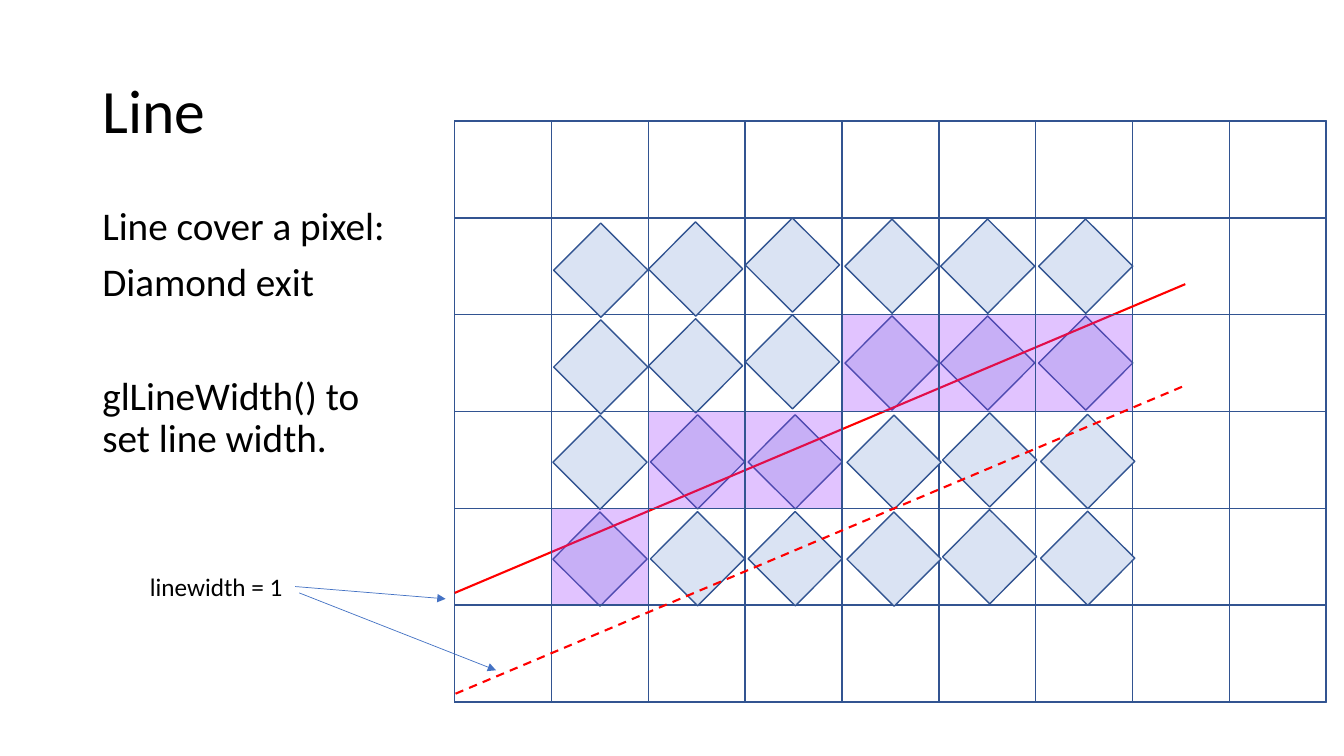
from lxml import etree
from pptx import Presentation
from pptx.dml.color import RGBColor
from pptx.enum import dml, shapes, text
from pptx.oxml import ns
from pptx.util import Cm, Pt

BLACK = RGBColor(0x00, 0x00, 0x00)
GRID_BLUE = RGBColor(0x32, 0x54, 0x91)
DIAMOND_BLUE = RGBColor(0xDA, 0xE3, 0xF3)
PIXEL_PURPLE = RGBColor(0x99, 0x33, 0xFF)
LINE_RED = RGBColor(0xFF, 0x00, 0x00)
ARROW_BLUE = RGBColor(0x44, 0x72, 0xC4)

CELL = 2.44
COLUMNS, ROWS = 9, 6
GRID_LEFT, GRID_TOP = 11.46, 3.05
DIAMOND_SIDE = 1.68

presentation = Presentation()
presentation.slide_width = Cm(33.87)
presentation.slide_height = Cm(19.05)
slide = presentation.slides.add_slide(presentation.slide_layouts[5])


def add_box(left, top, width, height, fill=None):
    shape = slide.shapes.add_shape(
        shapes.MSO_SHAPE.RECTANGLE, Cm(left), Cm(top), Cm(width), Cm(height))
    shape.shadow.inherit = False
    shape.line.color.rgb = GRID_BLUE
    shape.line.width = Pt(1)
    if fill is None:
        shape.fill.background()
    else:
        shape.fill.solid()
        shape.fill.fore_color.rgb = fill
    return shape


def add_line(start, end, color, width):
    connector = slide.shapes.add_connector(
        shapes.MSO_CONNECTOR.STRAIGHT, *[Cm(value) for value in start + end])
    connector.line.color.rgb = color
    connector.line.width = Pt(width)
    etree.SubElement(connector._element.spPr, ns.qn("a:effectLst"))
    return connector


title = slide.shapes.title
title.left, title.top, title.width, title.height = Cm(2.33), Cm(1.01), Cm(29.21), Cm(3.68)
title.text_frame.vertical_anchor = text.MSO_ANCHOR.MIDDLE

body = slide.shapes.add_textbox(Cm(2.33), Cm(5.08), Cm(8.03), Cm(12.09))
body.text_frame.word_wrap = True
label = slide.shapes.add_textbox(Cm(3.53), Cm(14.27), Cm(3.89), Cm(1.02))
label.text_frame.word_wrap = False

paragraphs = [
    (title, "Line", 44, 0, 0.9),
    (body, "Line cover a pixel:", 28, 10, 0.9),
    (body, "Diamond exit", 28, 10, 0.9),
    (body, "glLineWidth() to set line width.", 28, 51, 0.9),
    (label, "linewidth = 1", 18, 0, 1.0),
]
for holder, words, size, space_before, line_spacing in paragraphs:
    paragraph = holder.text_frame.paragraphs[0]
    if paragraph.runs:
        paragraph = holder.text_frame.add_paragraph()
    paragraph.alignment = text.PP_ALIGN.LEFT
    paragraph.line_spacing = line_spacing
    paragraph.space_before = Pt(space_before)
    run = paragraph.add_run()
    run.text = words
    run.font.name = "Calibri"
    run.font.size = Pt(size)
    run.font.color.rgb = BLACK

add_box(GRID_LEFT, GRID_TOP, COLUMNS * CELL, ROWS * CELL)
for row in range(ROWS):
    add_box(GRID_LEFT, GRID_TOP + row * CELL, COLUMNS * CELL, CELL)
for column in range(COLUMNS):
    add_box(GRID_LEFT + column * CELL, GRID_TOP, CELL, ROWS * CELL)

upper_diamonds = [(14.3, 5.97), (16.69, 5.94), (19.13, 5.84),
                  (21.64, 5.87), (24.05, 5.87), (26.52, 5.87)]
lower_diamonds = [(14.28, 10.81), (16.74, 10.8), (19.2, 10.8),
                  (21.69, 10.81), (24.1, 10.75), (26.57, 10.79)]
for left, top in upper_diamonds + lower_diamonds:
    for step in range(2):
        diamond = add_box(left, top + step * CELL, DIAMOND_SIDE, DIAMOND_SIDE, DIAMOND_BLUE)
        diamond.rotation = 44.9

add_line((11.46, 14.94), (29.87, 7.16), LINE_RED, 1.5)

covered_pixels = [(1, 4), (2, 3), (3, 3), (4, 2), (5, 2), (6, 2)]
for column, row in covered_pixels:
    pixel = add_box(GRID_LEFT + column * CELL, GRID_TOP + row * CELL, CELL, CELL, PIXEL_PURPLE)
    color = pixel._element.spPr.find(".//" + ns.qn("a:srgbClr"))
    etree.SubElement(color, ns.qn("a:alpha"), val="29000")

shifted_line = add_line((11.48, 17.48), (29.9, 9.7), LINE_RED, 1.5)
shifted_line.line.dash_style = dml.MSO_LINE.DASH

for start, end in [((7.54, 14.94), (12.5, 16.89)), ((7.44, 14.78), (11.23, 15.09))]:
    arrow = add_line(start, end, ARROW_BLUE, 0.5)
    etree.SubElement(arrow.line._get_or_add_ln(), ns.qn("a:tailEnd"), type="triangle")

presentation.save("out.pptx")
